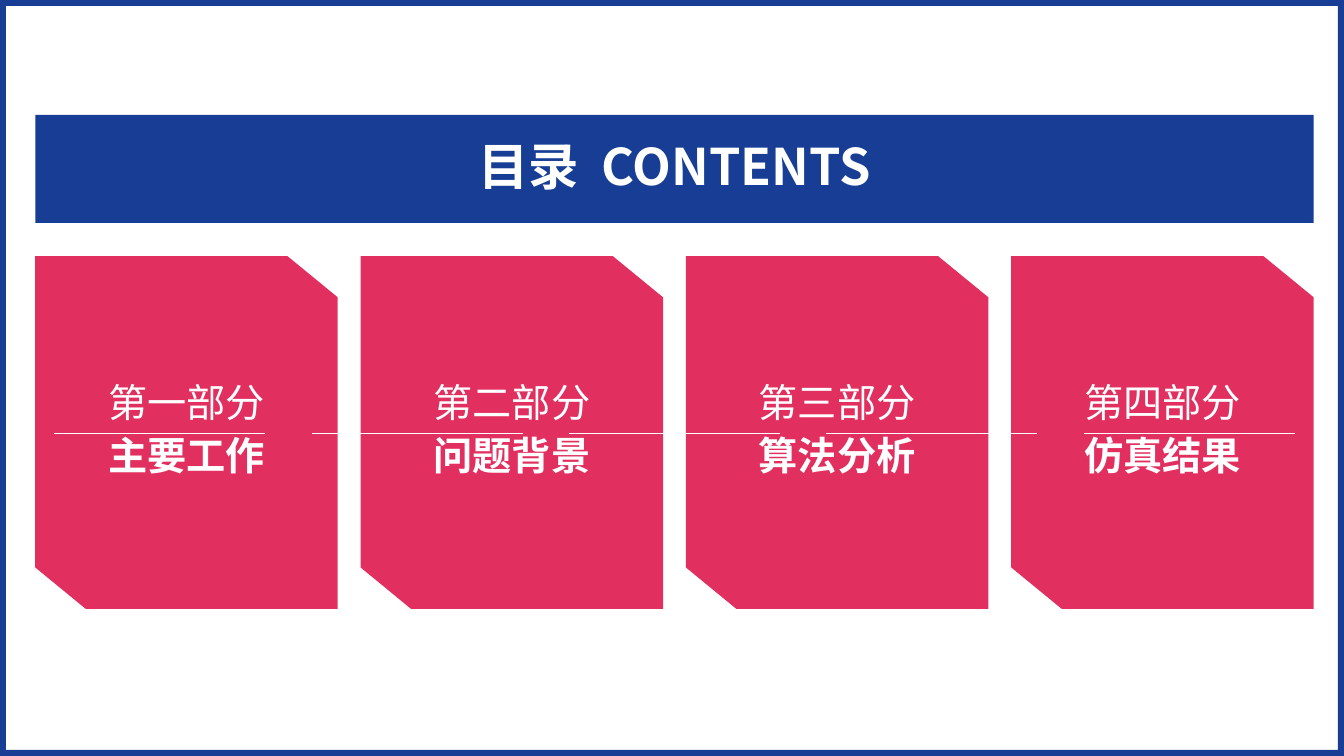
from dataclasses import dataclass
from lxml import etree
from pptx import Presentation, util as u
from pptx.dml.color import RGBColor
from pptx.enum import shapes, text
from pptx.oxml.ns import qn

# Content
TITLE = ("目录", " ", "CONTENTS")
PARTS = [
    ("第一部分", "主要工作"),
    ("第二部分", "问题背景"),
    ("第三部分", "算法分析"),
    ("第四部分", "仿真结果"),
]


@dataclass
class Theme:
    blue: RGBColor = RGBColor.from_string("173D95")
    red: RGBColor = RGBColor.from_string("E1305F")
    white: RGBColor = RGBColor.from_string("FFFFFF")
    font: str = "Noto Sans CJK SC"
    head: int = 36
    body: int = 28


theme = Theme()

# Grid, in inches
WIDE, HIGH = 13.33, 7.5
LEFT, SPAN = 0.35, 12.68
BAR_TOP, BAR_HIGH = 1.14, 1.07
CARD_TOP, CARD_WIDE, CARD_HIGH = 2.54, 3, 3.5
CARD_STEP = (SPAN - CARD_WIDE) / (len(PARTS) - 1)
CUT_X, CUT_Y = 0.5, 0.41
RULES, RULE_LEFT, RULE_WIDE, RULE_Y = 5, 0.54, 2.09, 4.3
RULE_STEP = (WIDE - 0.49 - RULE_WIDE - RULE_LEFT) / (RULES - 1)


def paint(shape, color):
    shape.fill.solid()
    shape.fill.fore_color.rgb = color
    shape.line.fill.background()
    shape.shadow.inherit = False


def style(run, size, bold):
    run.font.name = theme.font
    run.font.size = u.Pt(size)
    run.font.bold = bold
    run.font.color.rgb = theme.white
    face = etree.SubElement(run.font._element, qn("a:ea"))
    face.set("typeface", theme.font)


def lay(para, lead):
    para.alignment = text.PP_ALIGN.CENTER
    para.line_spacing = lead
    para.space_before = u.Pt(10)


def center(frame):
    frame.word_wrap = True
    frame.auto_size = text.MSO_AUTO_SIZE.NONE
    frame.vertical_anchor = text.MSO_ANCHOR.MIDDLE


def add_card(slide, left, lines):
    right, low = left + CARD_WIDE, CARD_TOP + CARD_HIGH
    pen = slide.shapes.build_freeform(u.Inches(left), u.Inches(CARD_TOP))
    points = [(right - CUT_X, CARD_TOP), (right, CARD_TOP + CUT_Y), (right, low),
              (left + CUT_X, low), (left, low - CUT_Y)]
    pen.add_line_segments([(u.Inches(x), u.Inches(y)) for x, y in points])
    card = pen.convert_to_shape()
    paint(card, theme.red)
    center(card.text_frame)
    card.text_frame.text = "\n".join(lines)
    for row, para in enumerate(card.text_frame.paragraphs):
        lay(para, 0.83)
        style(para.runs[0], theme.body, row == 1)


def add_rule(slide, left):
    rule = slide.shapes.add_connector(
        shapes.MSO_CONNECTOR.STRAIGHT, u.Inches(left), u.Inches(RULE_Y),
        u.Inches(left + RULE_WIDE), u.Inches(RULE_Y))
    rule.line.color.rgb = theme.white
    rule.line.width = u.Pt(0.5)
    etree.SubElement(rule._element.spPr, qn("a:effectLst"))


def main():
    deck = Presentation()
    deck.slide_width, deck.slide_height = u.Inches(WIDE), u.Inches(HIGH)
    slide = deck.slides.add_slide(deck.slide_layouts[5])

    # Border
    border = slide.shapes.add_shape(
        shapes.MSO_SHAPE.FRAME, 0, 0, deck.slide_width, deck.slide_height)
    border.adjustments[0] = 0.008
    paint(border, theme.blue)

    # Title bar, with a wider gap between the two words
    bar = slide.shapes.title
    bar.left, bar.top = u.Inches(LEFT), u.Inches(BAR_TOP)
    bar.width, bar.height = u.Inches(SPAN), u.Inches(BAR_HIGH)
    paint(bar, theme.blue)
    center(bar.text_frame)
    para = bar.text_frame.paragraphs[0]
    lay(para, 0.9)
    for word in TITLE:
        run = para.add_run()
        run.text = word
        style(run, theme.head, True)
    para.runs[1].font._element.set("spc", "800")

    # Cards
    for col, lines in enumerate(PARTS):
        add_card(slide, LEFT + col * CARD_STEP, lines)

    # Thin rules across the cards
    for col in range(RULES):
        add_rule(slide, RULE_LEFT + col * RULE_STEP)

    deck.save("out.pptx")


if __name__ == "__main__":
    main()
